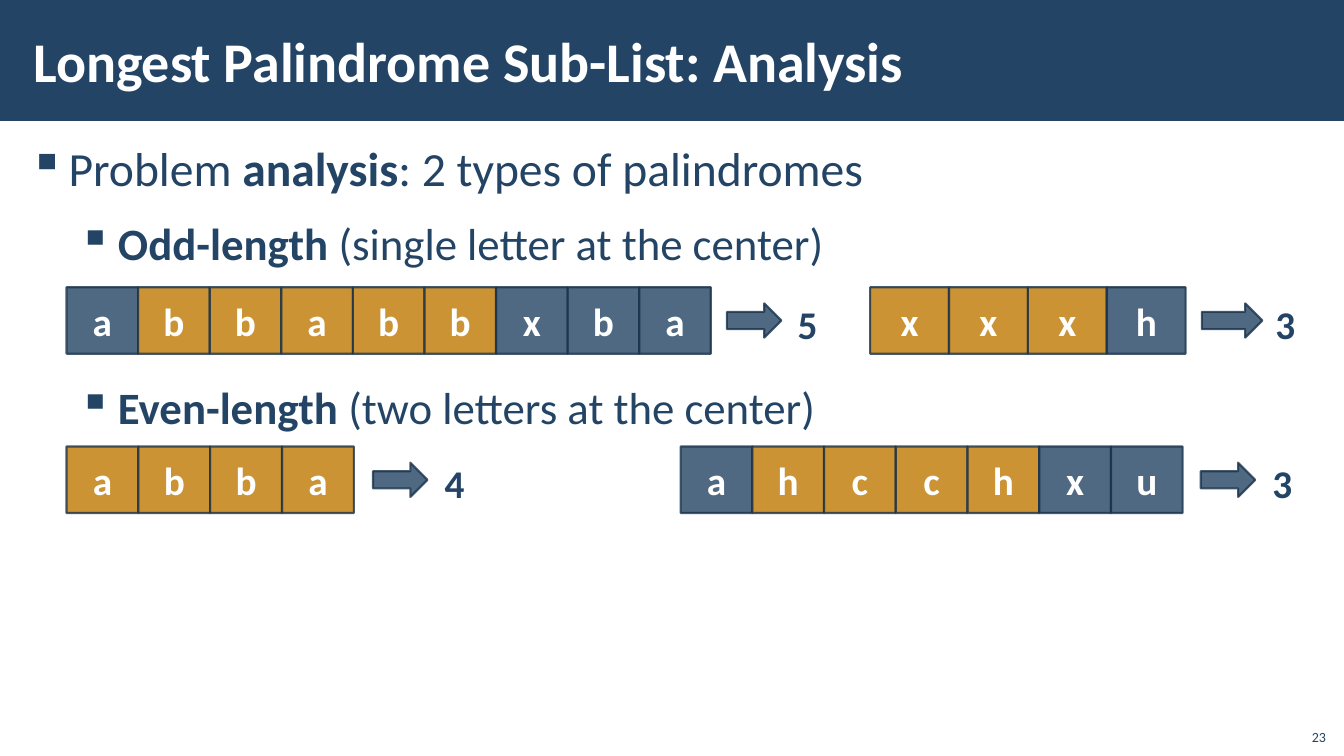
from pptx import Presentation
from pptx.dml.color import RGBColor
from pptx.enum.shapes import MSO_SHAPE
from pptx.enum.text import MSO_ANCHOR, MSO_AUTO_SIZE, PP_ALIGN
from pptx.oxml.ns import qn
from pptx.util import Inches, Pt
from lxml.etree import SubElement

COLOURS = {"navy": "234465", "gold": "BF7800", "edge": "1A334C", "white": "FFFFFF"}


def colour(name):
    return RGBColor.from_string(COLOURS[name])


def style(target, values):
    for name, value in values.items():
        setattr(target, name, value)


def margins(horizontal, vertical):
    return {
        "margin_left": Inches(horizontal), "margin_right": Inches(horizontal),
        "margin_top": Inches(vertical), "margin_bottom": Inches(vertical),
    }


class PalindromePage:
    font_name = "Calibri"
    holder_frame = {"word_wrap": True, **margins(0.12, 0.04)}
    cell_height = 0.66
    arrow_height = 0.34

    def __init__(self, deck):
        self.page = deck.slides.add_slide(deck.slide_layouts[6])

    def add_spans(self, para, spans, size, ink):
        for text, bold in spans:
            span = para.add_run()
            span.text = text
            style(span.font, {"name": self.font_name, "size": Pt(size), "bold": bold})
            span.font.color.rgb = colour(ink)

    def add_text(self, place, spans, size, ink, frame, layout, parent=None):
        shapes = (parent or self.page).shapes
        box = shapes.add_textbox(*map(Inches, place))
        style(box.text_frame, frame)
        para = box.text_frame.paragraphs[0]
        style(para, layout)
        self.add_spans(para, spans, size, ink)

    def add_shape(self, kind, place, fill, edge=None, parent=None):
        shape = (parent or self.page).shapes.add_shape(kind, *map(Inches, place))
        shape.shadow.inherit = False
        shape.fill.solid()
        shape.fill.fore_color.rgb = colour(fill)
        if edge is None:
            shape.line.fill.background()
            return shape
        shape.line.color.rgb = colour(edge)
        shape.line.width = Pt(1.5)
        for tint in shape.element.spPr.iter(qn("a:srgbClr")):
            SubElement(tint, qn("a:alpha")).set("val", "80000")
        return shape

    def add_bullets(self, place, items):
        box = self.page.shapes.add_textbox(*map(Inches, place))
        style(box.text_frame, self.holder_frame)
        for index, (level, before, size, spans) in enumerate(items):
            para = box.text_frame.paragraphs[0] if index == 0 else box.text_frame.add_paragraph()
            style(para, {"level": level, "line_spacing": 1.05,
                         "space_before": Pt(before), "space_after": Pt(6)})
            settings = para._p.get_or_add_pPr()
            settings.set("marL", str(Inches(0.39 + 0.49 * level)))
            settings.set("indent", str(Inches(-0.39)))
            SubElement(settings, qn("a:buChar")).set("char", "▪")
            self.add_spans(para, spans, size, "navy")

    def add_example(self, letters, found, left, top, width, arrow, answer):
        group = self.page.shapes.add_group_shape()
        cell = width / len(letters)
        for index, letter in enumerate(letters):
            fill = "gold" if index in found else "navy"
            place = (left + index * cell, top, cell, self.cell_height)
            square = self.add_shape(MSO_SHAPE.RECTANGLE, place, fill, "edge", group)
            square.text_frame.vertical_anchor = MSO_ANCHOR.MIDDLE
            para = square.text_frame.paragraphs[0]
            para.alignment = PP_ALIGN.CENTER
            self.add_spans(para, [(letter, True)], 28, "white")
        arrow_left, arrow_width = arrow
        arrow_top = top + (self.cell_height - self.arrow_height) / 2
        self.add_shape(MSO_SHAPE.RIGHT_ARROW,
                       (arrow_left, arrow_top, arrow_width, self.arrow_height),
                       "navy", "edge", group)
        length, answer_left = answer
        frame = {"word_wrap": False, "auto_size": MSO_AUTO_SIZE.SHAPE_TO_FIT_TEXT,
                 **margins(0.16, 0.12)}
        self.add_text((answer_left, top - 0.04, 0.52, 0.73), [(length, True)], 28,
                      "navy", frame, {"line_spacing": 1.1}, group)


def main():
    deck = Presentation()
    style(deck, {"slide_width": Inches(13.33), "slide_height": Inches(7.5)})
    page = PalindromePage(deck)

    page.add_shape(MSO_SHAPE.RECTANGLE, (0, 0, 13.34, 1.2), "navy")
    page.add_text((0.21, 0.11, 10.63, 0.97),
                  [("Longest Palindrome Sub-List: Analysis", True)], 40, "white",
                  {**page.holder_frame, "vertical_anchor": MSO_ANCHOR.MIDDLE}, {})
    page.add_text((12.85, 7.12, 0.4, 0.32), [("23", False)], 10, "navy",
                  {"word_wrap": True, "vertical_anchor": MSO_ANCHOR.BOTTOM},
                  {"alignment": PP_ALIGN.RIGHT})
    page.add_bullets((0.17, 1.31, 12.92, 6.05), [
        (0, 0, 34, [("Problem ", False), ("analysis", True),
                    (": 2 types of palindromes", False)]),
        (1, 6, 32, [("Odd-length", True), (" (single letter at the center)", False)]),
        (1, 71, 32, [("Even-length", True), (" (two letters at the center)", False)]),
    ])

    odd_top, even_top = 2.85, 4.43
    page.add_example("abbabbxba", range(1, 6), 0.66, odd_top, 6.39, (7.21, 0.54), ("5", 7.75))
    page.add_example("xxxh", range(3), 8.63, odd_top, 3.13, (11.92, 0.6), ("3", 12.49))
    page.add_example("abba", range(4), 0.66, even_top, 2.85, (3.7, 0.54), ("4", 4.25))
    page.add_example("ahcchxu", range(1, 5), 6.75, even_top, 4.98, (11.91, 0.54), ("3", 12.46))

    deck.save("out.pptx")


if __name__ == "__main__":
    main()
